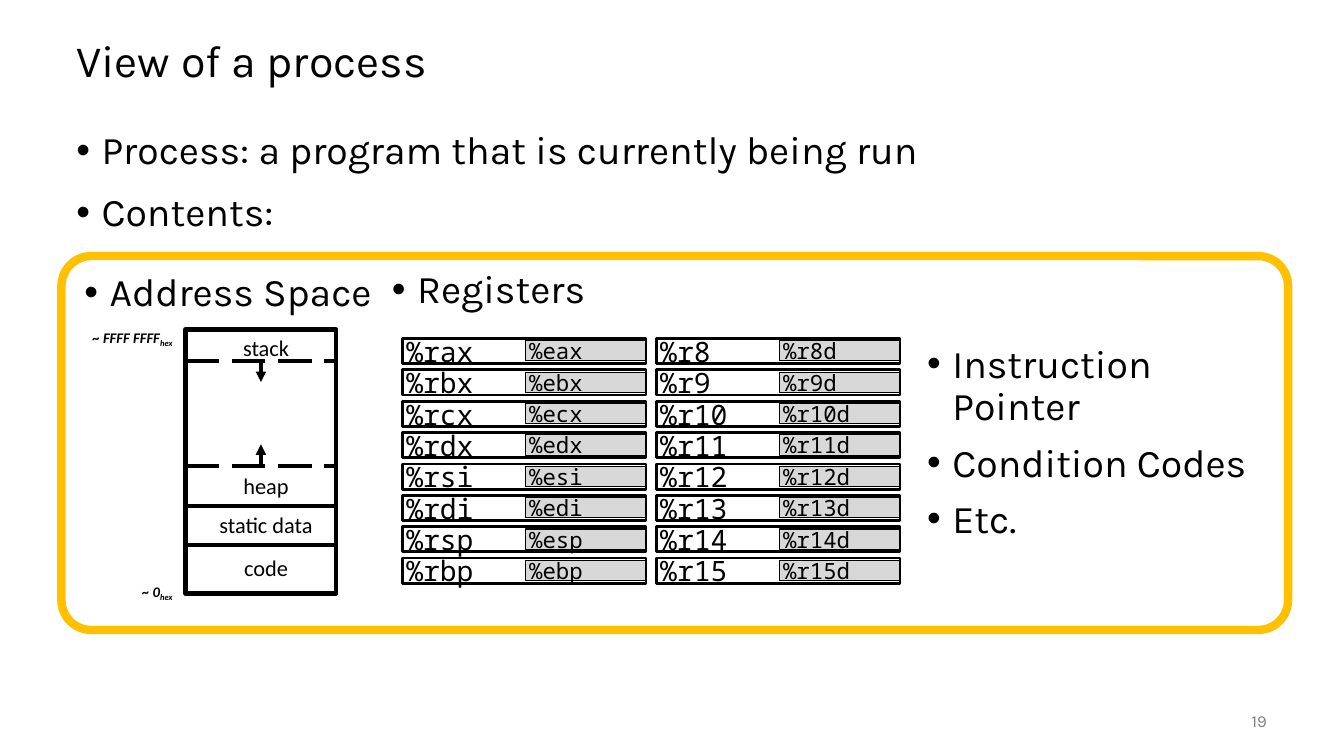
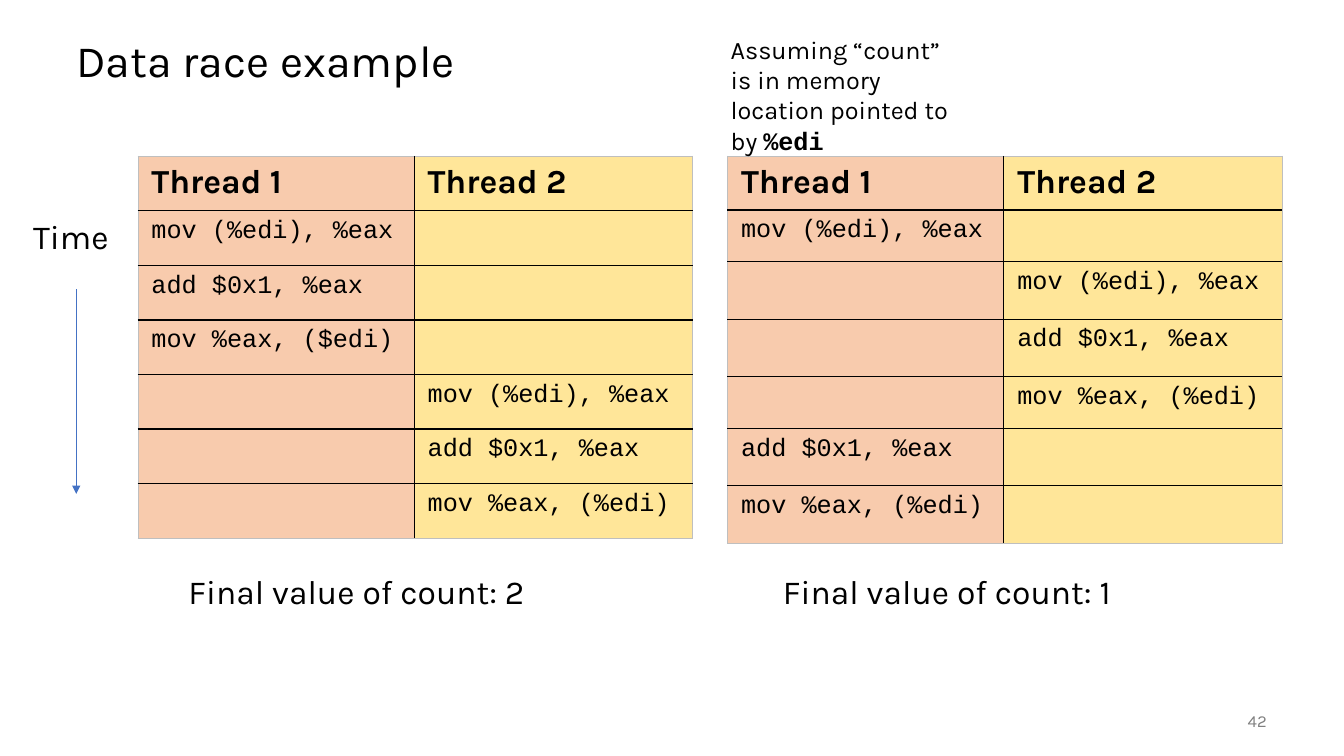
"""Builds two lecture slides on processes and data races."""
from lxml.etree import SubElement
from pptx import Presentation
from pptx.dml.color import RGBColor
from pptx.enum.dml import MSO_LINE
from pptx.enum.shapes import MSO_CONNECTOR, MSO_SHAPE
from pptx.enum.text import MSO_ANCHOR, PP_ALIGN
from pptx.oxml.ns import qn
from pptx.util import Pt

BODY_FONT, LABEL_FONT, CODE_FONT, REGISTER_FONT = "Karla", "Calibri", "Courier New", "Noto Sans Mono"
BLACK, WHITE, GREY, SILVER = "000000", "FFFFFF", "808080", "D8D8D8"
AMBER, BLUE, BORDER = "FFC000", "4472C4", "BFBFBF"
THREAD_FILLS = ("F8CBAD", "FFE699")
LOAD, ADD, STORE = "mov (%edi), %eax", "add $0x1, %eax", "mov %eax, (%edi)"
REGISTERS = (
    (("%rax", "%eax"), ("%rbx", "%ebx"), ("%rcx", "%ecx"), ("%rdx", "%edx"),
     ("%rsi", "%esi"), ("%rdi", "%edi"), ("%rsp", "%esp"), ("%rbp", "%ebp")),
    tuple((f"%r{number}", f"%r{number}d") for number in range(8, 16)),
)


def color(value):
    """Turn a hex string into a colour."""
    return RGBColor.from_string(value)


def points(*lengths):
    """Turn numbers into lengths in points."""
    return [Pt(length) for length in lengths]


def style(run, font, size, tint=BLACK, bold=False, italic=False):
    """Format one run."""
    run.font.name, run.font.size = font, Pt(size)
    run.font.bold, run.font.italic = bold, italic
    run.font.color.rgb = color(tint)


def write(frame, lines, font, size, tint=BLACK, align=PP_ALIGN.LEFT, bold=False, italic=False):
    """Fill a text frame with one paragraph per line."""
    frame.word_wrap = True
    frame.text = "\n".join(lines)
    for paragraph in frame.paragraphs:
        paragraph.alignment = align
        for run in paragraph.runs:
            style(run, font, size, tint, bold, italic)
    return frame


def add_text(shapes, box, lines, font=BODY_FONT, size=24, anchor=MSO_ANCHOR.TOP, **look):
    """Place a text box and return its frame."""
    frame = shapes.add_textbox(*points(*box)).text_frame
    frame.vertical_anchor = anchor
    return write(frame, lines, font, size, **look)


def add_bullets(shapes, box, lines, gap=10):
    """Place a bulleted list."""
    frame = add_text(shapes, box, lines, size=28)
    for index, paragraph in enumerate(frame.paragraphs):
        paragraph.line_spacing = 0.9
        paragraph.space_before = Pt(gap if index else 0)
        properties = paragraph._p.get_or_add_pPr()
        properties.set("marL", str(Pt(18)))
        properties.set("indent", str(-Pt(18)))
        SubElement(properties, qn("a:buFont")).set("typeface", "Arial")
        SubElement(properties, qn("a:buChar")).set("char", "•")


def add_box(shapes, box, line, weight, fill=None, kind=MSO_SHAPE.RECTANGLE):
    """Place an outlined shape, filled if a colour is given."""
    shape = shapes.add_shape(kind, *points(*box))
    shape.shadow.inherit = False
    if fill:
        shape.fill.solid()
        shape.fill.fore_color.rgb = color(fill)
    else:
        shape.fill.background()
    shape.line.color.rgb = color(line)
    shape.line.width = Pt(weight)
    return shape


def add_line(shapes, start, end, tint, weight, dashed=False, arrow=False):
    """Place a straight line, dashed or with an arrowhead on request."""
    connector = shapes.add_connector(MSO_CONNECTOR.STRAIGHT, *points(*start, *end))
    SubElement(connector._element.spPr, qn("a:effectLst"))
    connector.line.color.rgb = color(tint)
    connector.line.width = Pt(weight)
    if dashed:
        connector.line.dash_style = MSO_LINE.LONG_DASH
    if arrow:
        SubElement(connector.line._get_or_add_ln(), qn("a:tailEnd")).set("type", "triangle")


def add_slide(deck, title, number):
    """Start a slide with the shared title and page number."""
    shapes = deck.slides.add_slide(deck.slide_layouts[6]).shapes
    heading = add_text(shapes, (47.5, 18, 864, 54), [title], size=32, anchor=MSO_ANCHOR.MIDDLE)
    heading.paragraphs[0].line_spacing = 0.9
    add_text(shapes, (840, 500.4, 72, 28.8), [str(number)], size=12, tint=GREY,
             anchor=MSO_ANCHOR.MIDDLE, align=PP_ALIGN.RIGHT)
    return shapes


def add_address_space(shapes, left, top, width, height):
    """Draw the memory column with its sections and end addresses."""
    parts = shapes.add_group_shape().shapes
    right, middle = left + width, left + width / 2
    stack_end, heap_end, static_top, code_top = (top + offset for offset in (22.3, 97.2, 126, 154))
    add_box(parts, (left, stack_end, width, heap_end - stack_end), WHITE, 1, WHITE)
    add_box(parts, (left, top, width, height), BLACK, 3)
    add_box(parts, (left, code_top, width, top + height - code_top), BLACK, 1)
    add_box(parts, (left, static_top, width, code_top - static_top), BLACK, 3)
    for edge, growth in ((heap_end, -15.2), (stack_end, 15.2)):
        add_line(parts, (left, edge), (right, edge), BLACK, 3, dashed=True)
        add_line(parts, (middle, edge), (middle, edge + growth), BLACK, 2.5, arrow=True)
    for section, label_top in (("stack", top), ("heap", heap_end + 0.8),
                               ("static data", static_top), ("code", code_top + 3)):
        add_text(parts, (left + 12.2, label_top, 90.7, 23.8), [section], LABEL_FONT, 16,
                 align=PP_ALIGN.CENTER)
    for address, label_top in (("~ FFFF FFFF", top - 4.3), ("~ 0", top + height - 11.5)):
        frame = add_text(parts, (left - 85.2, label_top, 83, 15), [address], LABEL_FONT, 10.5,
                         align=PP_ALIGN.RIGHT, bold=True, italic=True)
        base = frame.paragraphs[0].add_run()
        base.text = "hex"
        style(base, LABEL_FONT, 10.5, bold=True, italic=True)
        base.font._element.set("baseline", "-25000")


def add_register_label(shape, name, size):
    """Write a register name into its box."""
    frame = write(shape.text_frame, [name], REGISTER_FONT, size)
    frame.vertical_anchor = MSO_ANCHOR.MIDDLE
    frame.margin_left = frame.margin_right = frame.margin_top = frame.margin_bottom = Pt(2.9)


def add_registers(shapes, left, top):
    """Draw the registers in two columns, each with its lower half."""
    parts = shapes.add_group_shape().shapes
    width, height, half_width = 174.2, 18, 86.4
    for column, bank in enumerate(REGISTERS):
        for row, (register, lower_half) in enumerate(bank):
            x, y = left + column * 181.4, top + row * 22.4
            half = add_box(parts, (x + width - half_width, y + 1.7, half_width, 14.4),
                           BLACK, 0.75, SILVER)
            add_register_label(half, lower_half, 16)
            add_register_label(add_box(parts, (x, y, width, height), BLACK, 2), register, 20)


def add_border(cell, side, tint, weight):
    """Draw one edge of a table cell."""
    edge = SubElement(cell._tc.get_or_add_tcPr(), qn(f"a:ln{side}"), w=str(Pt(weight)))
    fill = SubElement(edge, qn("a:solidFill"))
    SubElement(fill, qn("a:srgbClr"), val=tint)


def add_schedule(shapes, left, top, row_heights, steps):
    """Draw a table with one column per thread and one row per (thread, instruction) step."""
    widths = (197.3, 198.7)
    last_row, last_column = len(steps), len(widths) - 1
    table = shapes.add_table(last_row + 1, len(widths),
                             *points(left, top, sum(widths), sum(row_heights))).table
    for column, width in zip(table.columns, widths):
        column.width = Pt(width)
    for row, height in zip(table.rows, row_heights):
        row.height = Pt(height)
    for r in range(last_row + 1):
        for c, fill in enumerate(THREAD_FILLS):
            cell = table.cell(r, c)
            outer_edges = {"L": c == 0, "R": c == last_column, "T": r == 0, "B": r == last_row}
            for side, outer in outer_edges.items():
                add_border(cell, side, BORDER if outer else BLACK, 0.75 if outer else 1)
            cell.fill.solid()
            cell.fill.fore_color.rgb = color(fill)
            cell.margin_left = cell.margin_right = Pt(9.6)
            cell.margin_top = cell.margin_bottom = Pt(4.8)
            if r == 0:
                write(cell.text_frame, [f"Thread {c + 1}"], BODY_FONT, 24, bold=True)
            elif steps[r - 1][0] == c + 1:
                write(cell.text_frame, [steps[r - 1][1]], CODE_FONT, 18)


def add_process_slide(deck):
    """Build the slide that shows what a process contains."""
    shapes = add_slide(deck, "View of a process", 19)
    add_bullets(shapes, (47.5, 90, 864, 90),
                ["Process: a program that is currently being run", "Contents:"], gap=14)
    add_bullets(shapes, (53.3, 191.5, 233.3, 50), ["Address Space"])
    add_bullets(shapes, (272.9, 189.4, 414, 47.5), ["Registers"])
    add_address_space(shapes, 132.5, 235.4, 107.8, 188.6)
    add_registers(shapes, 287.3, 241.8)
    add_bullets(shapes, (655.2, 242.6, 265, 150),
                ["Instruction Pointer", "Condition Codes", "Etc."])
    frame = add_box(shapes, (43.9, 182.9, 876.2, 267.1), AMBER, 6,
                    kind=MSO_SHAPE.ROUNDED_RECTANGLE)
    frame.adjustments[0] = 0.08


def add_race_slide(deck):
    """Build the slide that compares two thread schedules."""
    shapes = add_slide(deck, "Data race example", 42)
    add_text(shapes, (16.5, 150.5, 78.5, 36), ["Time"])
    add_line(shapes, (54.5, 206.6), (54.5, 352.8), BLUE, 1, arrow=True)
    add_schedule(shapes, 98.6, 111.6, [39] * 7,
                 [(1, LOAD), (1, ADD), (1, "mov %eax, ($edi)"), (2, LOAD), (2, ADD), (2, STORE)])
    add_schedule(shapes, 519.8, 111.6, [37, 37, 41, 41, 37, 41, 41],
                 [(1, LOAD), (2, LOAD), (2, ADD), (2, STORE), (1, ADD), (1, STORE)])
    for left, count in ((127.5, 2), (552.2, 1)):
        add_text(shapes, (left, 404, 331, 36), [f"Final value of count: {count}"])
    note = add_text(shapes, (514.8, 20.9, 175.7, 94),
                    ["Assuming “count” is in memory location pointed to by "], size=18)
    pointer = note.paragraphs[0].add_run()
    pointer.text = "%edi"
    style(pointer, CODE_FONT, 18, bold=True)


def main():
    """Build and save the deck."""
    deck = Presentation()
    deck.slide_width, deck.slide_height = points(960, 540)
    add_process_slide(deck)
    add_race_slide(deck)
    deck.save("out.pptx")


if __name__ == "__main__":
    main()
